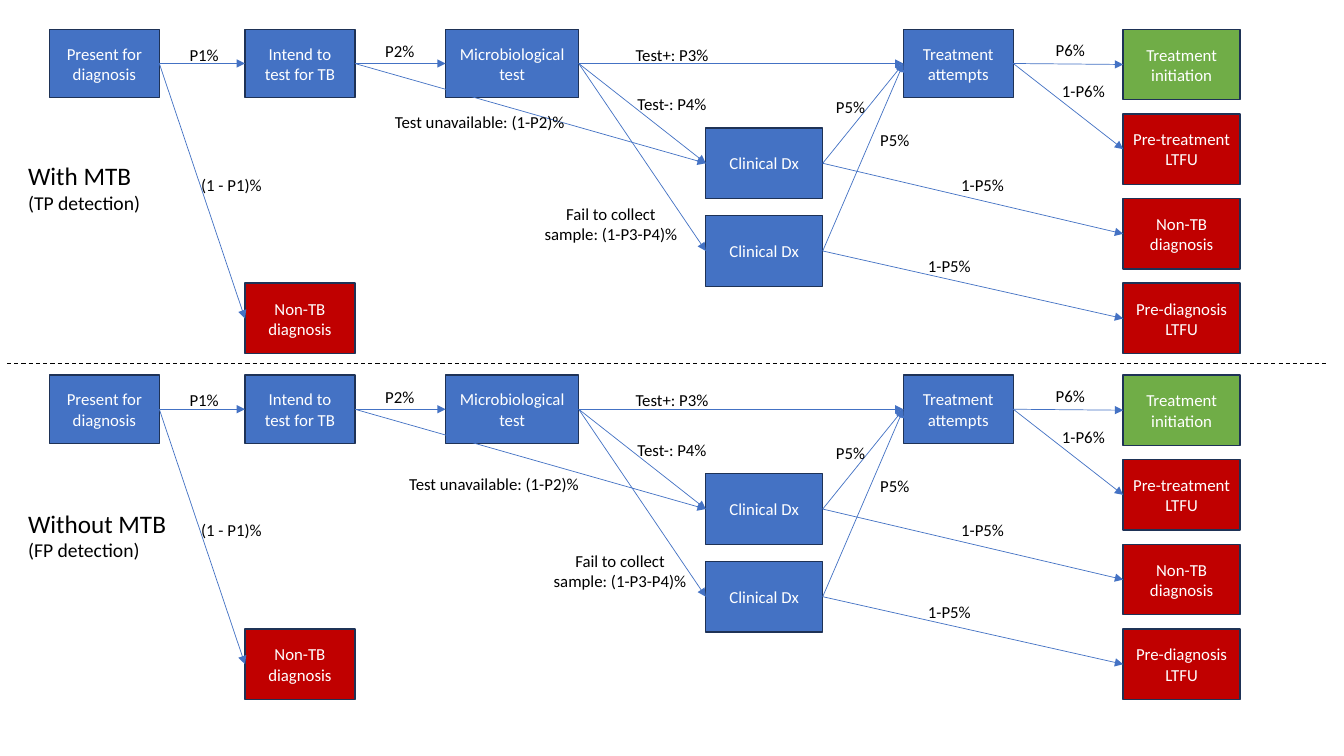
from pptx import Presentation
from pptx.dml.color import RGBColor
from pptx.enum.dml import MSO_LINE
from pptx.enum.shapes import MSO_CONNECTOR, MSO_SHAPE
from pptx.enum.text import MSO_ANCHOR, PP_ALIGN
from pptx.oxml.ns import qn
from pptx.util import Inches, Pt
from lxml import etree

RECTANGLE = MSO_SHAPE.RECTANGLE
STRAIGHT = MSO_CONNECTOR.STRAIGHT
DASH = MSO_LINE.DASH
MIDDLE = MSO_ANCHOR.MIDDLE
CENTER = PP_ALIGN.CENTER
LEFT = PP_ALIGN.LEFT

BLUE = RGBColor(0x44, 0x72, 0xC4)
NAVY = RGBColor(0x1E, 0x32, 0x56)
RED = RGBColor(0xC0, 0x00, 0x00)
GREEN = RGBColor(0x70, 0xAD, 0x47)
WHITE = RGBColor(0xFF, 0xFF, 0xFF)
BLACK = RGBColor(0x00, 0x00, 0x00)

FONT = "Calibri"
SLIDE_WIDTH, SLIDE_HEIGHT = 13.33, 7.5
PANEL_TOP, PANEL_PITCH = 0.29, 3.43
DIVIDER_Y = 3.61
RIGHT_SITE, LEFT_SITE = 3, 1

COLUMNS = {
    "present": (0.49, 1.09),
    "intend": (2.43, 1.09),
    "test": (4.42, 1.32),
    "clinical": (7, 1.16),
    "attempts": (8.96, 1.09),
    "outcome": (11.14, 1.16),
}
STEP_HEIGHT, BOX_HEIGHT = 0.68, 0.7
OUTCOME_PITCH = 0.84
CLINICAL_TOP, CLINICAL_PITCH = 0.98, 0.87
LINE_HEIGHT = 0.3

STEPS = [
    ("present", "Present for diagnosis"),
    ("intend", "Intend to test for TB"),
    ("test", "Microbiological test"),
    ("attempts", "Treatment attempts"),
]
OUTCOMES = [
    ("initiation", "Treatment initiation", GREEN),
    ("pre-treatment", "Pre-treatment LTFU", RED),
    ("non-TB", "Non-TB diagnosis", RED),
    ("pre-diagnosis", "Pre-diagnosis LTFU", RED),
]
ARROWS = [
    ("present", "intend"),
    ("present", "not tested"),
    ("intend", "test"),
    ("intend", "clinical 1"),
    ("test", "attempts"),
    ("test", "clinical 1"),
    ("test", "clinical 2"),
    ("clinical 1", "attempts"),
    ("clinical 2", "attempts"),
    ("clinical 1", "non-TB"),
    ("clinical 2", "pre-diagnosis"),
    ("attempts", "initiation"),
    ("attempts", "pre-treatment"),
]
LABELS = [
    ("P1%", 1.77, 0.1, 0.51),
    ("(1 - P1)%", 1.89, 1.39, 0.81),
    ("P2%", 3.71, 0.07, 0.51),
    ("Test+: P3%", 6.17, 0.1, 0.99),
    ("Test-: P4%", 6.17, 0.59, 0.99),
    ("P5%", 8.18, 0.62, 0.51),
    ("P5%", 8.62, 0.95, 0.51),
    ("1-P5%", 9.42, 1.39, 0.65),
    ("1-P5%", 9.09, 2.2, 0.65),
    ("P6%", 10.29, 0.06, 0.65),
    ("1-P6%", 10.42, 0.46, 0.65),
]
WIDE_LABEL = 2.1
PANELS = [
    ("With MTB", "(TP detection)", 1.25, (3.71, 0.77), (5.01, 1.68)),
    ("Without MTB", "(FP detection)", 1.27, (3.85, 0.93), (5.1, 1.69)),
]


def write(text_frame, lines, sizes, color, alignment):
    text_frame.text = "\n".join(lines)
    for paragraph, size in zip(text_frame.paragraphs, sizes):
        paragraph.alignment = alignment
        for run in paragraph.runs:
            run.font.name = FONT
            run.font.size = Pt(size)
            run.font.color.rgb = color


def add_box(slide, column, top, height, text, fill):
    left, width = COLUMNS[column]
    shape = slide.shapes.add_shape(
        RECTANGLE, Inches(left), Inches(top), Inches(width), Inches(height))
    shape.shadow.inherit = False
    shape.fill.solid()
    shape.fill.fore_color.rgb = fill
    shape.line.color.rgb = NAVY
    shape.line.width = Pt(1)
    shape.text_frame.word_wrap = True
    shape.text_frame.vertical_anchor = MIDDLE
    write(shape.text_frame, [text], [12], WHITE, CENTER)
    return shape


def add_text(slide, left, top, width, lines, sizes, alignment=CENTER, wrap=True):
    shape = slide.shapes.add_textbox(
        Inches(left), Inches(top), Inches(width), Inches(LINE_HEIGHT * len(lines)))
    shape.text_frame.word_wrap = wrap
    write(shape.text_frame, lines, sizes, BLACK, alignment)


def add_line(slide, start, end, color, width):
    line = slide.shapes.add_connector(
        STRAIGHT, *(Inches(length) for length in start + end))
    line.line.color.rgb = color
    line.line.width = Pt(width)
    etree.SubElement(line._element.spPr, qn("a:effectLst"))
    return line


def add_arrow(slide, source, target):
    arrow = add_line(slide, (0, 0), (1, 1), BLUE, 0.5)
    arrow.begin_connect(source, RIGHT_SITE)
    arrow.end_connect(target, LEFT_SITE)
    outline = arrow.line._get_or_add_ln()
    etree.SubElement(outline, qn("a:tailEnd"), type="triangle")


def add_boxes(slide, top):
    boxes = {}
    for name, text in STEPS:
        boxes[name] = add_box(slide, name, top, STEP_HEIGHT, text, BLUE)
    for row, (name, text, fill) in enumerate(OUTCOMES):
        boxes[name] = add_box(
            slide, "outcome", top + row * OUTCOME_PITCH, BOX_HEIGHT, text, fill)
    for row in range(2):
        boxes[f"clinical {row + 1}"] = add_box(
            slide, "clinical", top + CLINICAL_TOP + row * CLINICAL_PITCH,
            BOX_HEIGHT, "Clinical Dx", BLUE)
    boxes["not tested"] = add_box(
        slide, "intend", top + 3 * OUTCOME_PITCH, BOX_HEIGHT, "Non-TB diagnosis", RED)
    return boxes


def add_panel(slide, top, heading, detail, heading_top, unavailable, failed):
    boxes = add_boxes(slide, top)
    for source, target in ARROWS:
        add_arrow(slide, boxes[source], boxes[target])
    for text, left, offset, width in LABELS:
        add_text(slide, left, top + offset, width, [text], [12])
    add_text(slide, unavailable[0], top + unavailable[1], WIDE_LABEL,
             ["Test unavailable: (1-P2)%"], [12])
    add_text(slide, failed[0], top + failed[1], WIDE_LABEL,
             ["Fail to collect", "sample: (1-P3-P4)%"], [12, 12])
    add_text(slide, 0.18, top + heading_top, 1.59,
             [heading, detail], [18, 14], LEFT, False)


def main():
    presentation = Presentation()
    presentation.slide_width = Inches(SLIDE_WIDTH)
    presentation.slide_height = Inches(SLIDE_HEIGHT)
    slide = presentation.slides.add_slide(presentation.slide_layouts[6])
    for index, panel in enumerate(PANELS):
        add_panel(slide, PANEL_TOP + index * PANEL_PITCH, *panel)
    divider = add_line(slide, (0.07, DIVIDER_Y), (13.18, DIVIDER_Y), BLACK, 0.75)
    divider.line.dash_style = DASH
    presentation.save("out.pptx")


if __name__ == "__main__":
    main()
